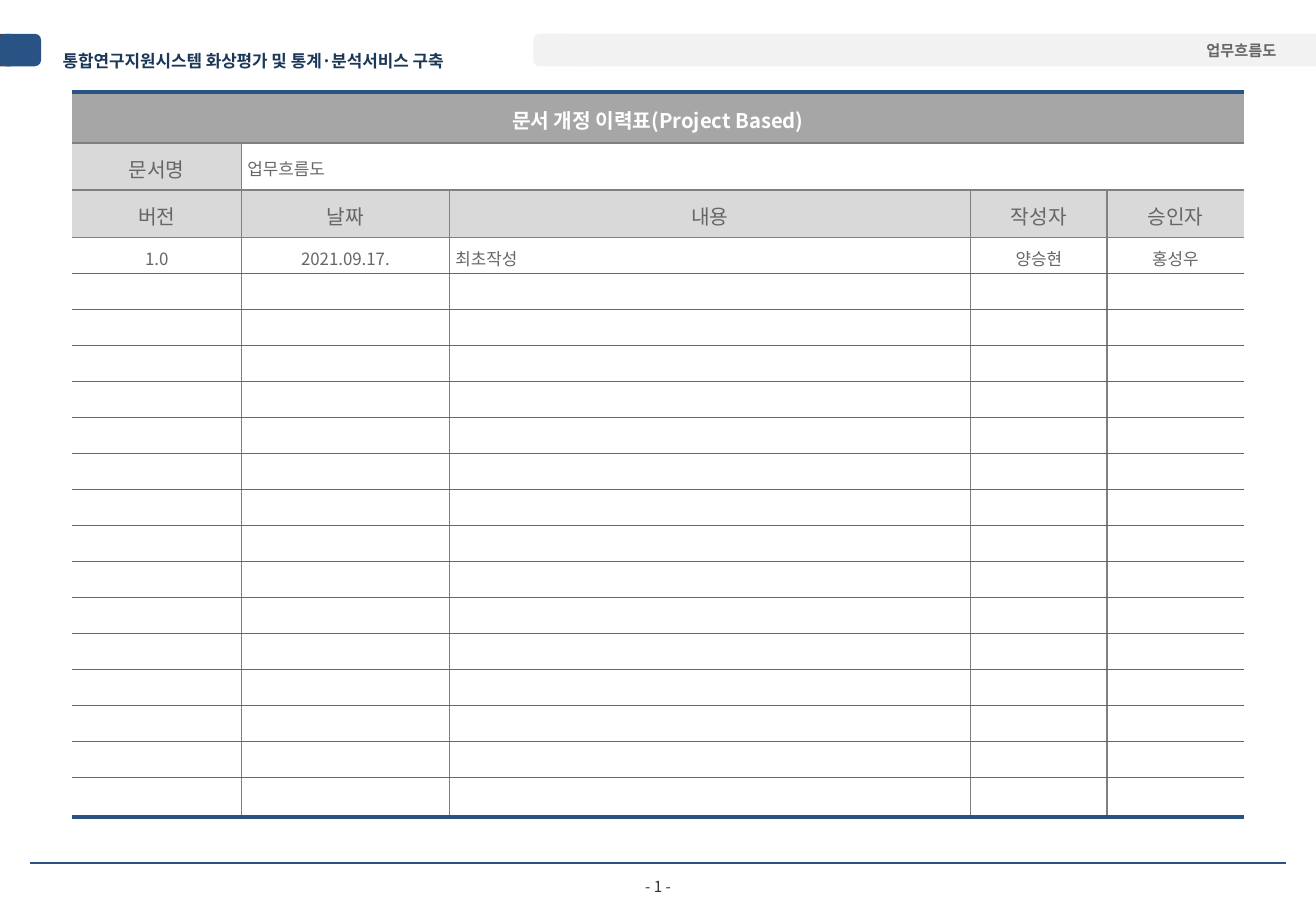
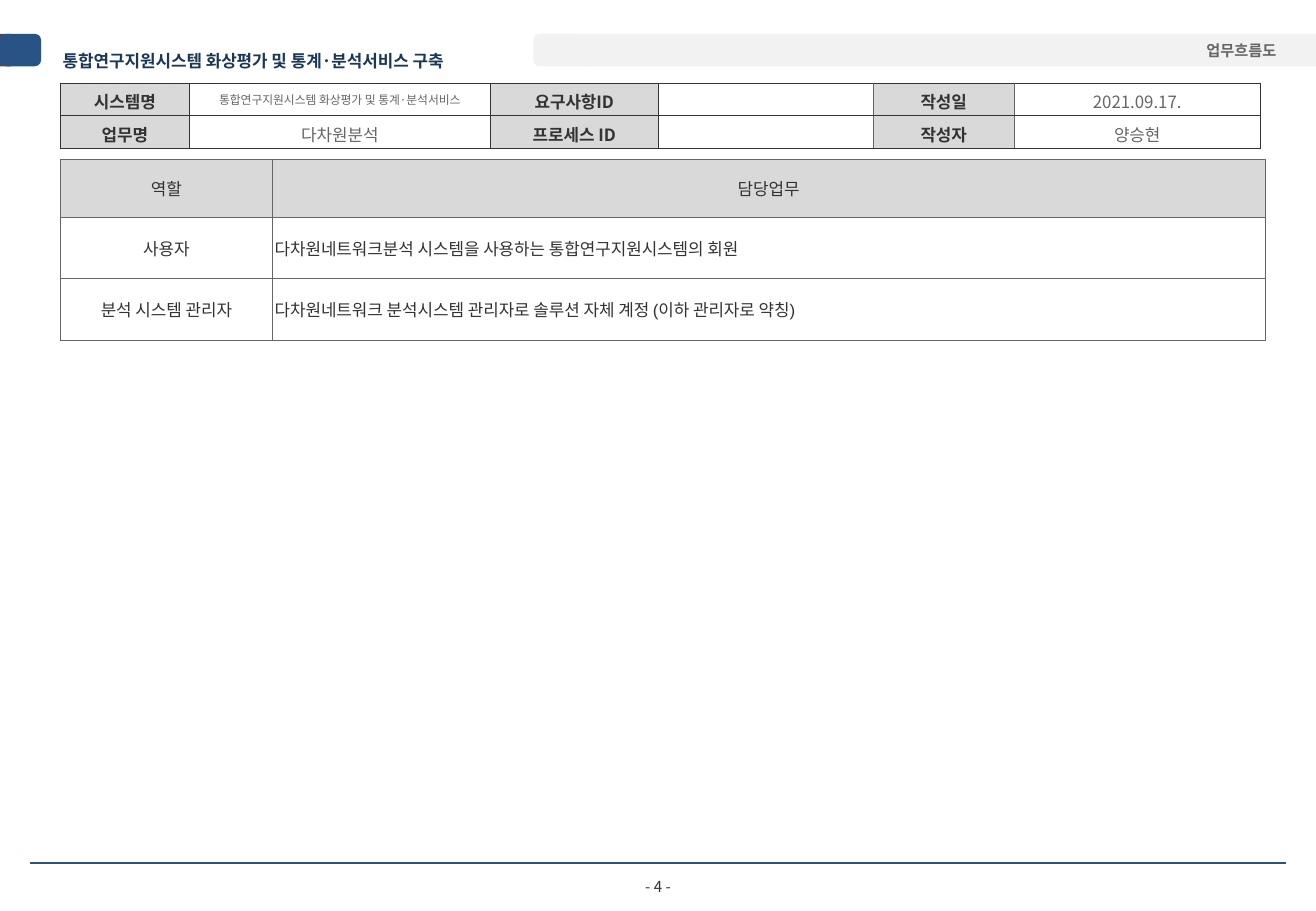
"""Build the revision history and role description slides of a workflow document."""
from dataclasses import dataclass

from lxml import etree
from pptx import Presentation
from pptx.dml.color import RGBColor
from pptx.enum.shapes import MSO_CONNECTOR as Connector, MSO_SHAPE as Shape
from pptx.enum.text import MSO_ANCHOR as Anchor, PP_ALIGN as Align
from pptx.oxml.ns import qn
from pptx.util import Pt


@dataclass(frozen=True)
class Theme:
    navy: str = "2A5385"
    title: str = "1C3858"
    slate: str = "454861"
    ink: str = "333333"
    text: str = "666666"
    rule: str = "808080"
    banner: str = "A6A6A6"
    label: str = "D9D9D9"
    band: str = "F2F2F2"
    white: str = "FFFFFF"
    font: str = "Noto Sans CJK KR"
    latin: str = "Arial"
    heading: float = 12
    body: float = 10
    small: float = 9
    tiny: float = 7


T = Theme()
WIDTH, HEIGHT = 780, 540
BAND_TOP, BAND_HEIGHT = 20, 19.3

DOCUMENT = "업무흐름도"
HEADER_ROWS = [[("통합연구지원시스템 화상평가 및 통계·분석서비스 구축", "project"),
                (DOCUMENT, "subject")]]

HISTORY_ROWS = [
    [("문서 개정 이력표(Project Based)", "banner")],
    [("문서명", "heading"), (DOCUMENT, "name")],
    [(text, "heading") for text in ("버전", "날짜", "내용", "작성자", "승인자")],
    [("1.0", "entry"), ("2021.09.17.", "entry"), ("최초작성", "note"),
     ("양승현", "entry"), ("홍성우", "entry")],
] + [[("", "entry")] * 5 for _ in range(15)]

SUMMARY_ROWS = [
    [("시스템명", "label"), ("통합연구지원시스템 화상평가 및 통계·분석서비스", "system"),
     ("요구사항ID", "label"), ("", "value"), ("작성일", "label"), ("2021.09.17.", "value")],
    [("업무명", "label"), ("다차원분석", "value"), ("프로세스 ID", "label"), ("", "value"),
     ("작성자", "label"), ("양승현", "value")],
]

ROLE_ROWS = [
    [("역할", "role_head"), ("담당업무", "role_head")],
    [("사용자", "role"), ("다차원네트워크분석 시스템을 사용하는 통합연구지원시스템의 회원", "duty")],
    [("분석 시스템 관리자", "role"),
     ("다차원네트워크 분석시스템 관리자로 솔루션 자체 계정 (이하 관리자로 약칭)", "duty")],
]

HISTORY = dict(pad=(3.6, 0, 3.6, 0), spacing=1.15)
ENTRY = dict(HISTORY, pad=(3.6, 2.9, 3.6, 0), anchor=Anchor.TOP, align=Align.CENTER)
SUMMARY = dict(pad=(7.2, 2.4, 7.2, 0), align=Align.CENTER)
ROLE = dict(pad=(1.4, 0, 1.4, 0), color=T.ink)
STYLES = {
    "project": dict(color=T.title, bold=True, pad=(5.2, 0, 5.2, 0), spacing=1.6),
    "subject": dict(size=T.small, bold=True, align=Align.RIGHT, pad=(5.2, 1.4, 5.2, 1.4)),
    "banner": dict(HISTORY, size=T.heading, color=T.white, bold=True, align=Align.CENTER),
    "heading": dict(HISTORY, size=T.heading, align=Align.CENTER),
    "name": HISTORY,
    "entry": ENTRY,
    "note": dict(ENTRY, align=Align.JUSTIFY),
    "label": dict(SUMMARY, color=T.ink, bold=True),
    "value": SUMMARY,
    "system": dict(SUMMARY, size=T.tiny, pad=(3.6, 0, 3.6, 0)),
    "role_head": dict(ROLE, align=Align.CENTER),
    "role": dict(ROLE, align=Align.CENTER),
    "duty": dict(ROLE, latin=T.latin),
}
FILLS = {"banner": T.banner, "heading": T.label, "label": T.label, "role_head": T.label}


def write(body, text, size=T.body, color=T.text, bold=False, align=Align.LEFT,
          anchor=Anchor.MIDDLE, pad=(0, 0, 0, 0), spacing=1.0, latin=T.font):
    """Write formatted text into a table cell or a text frame."""
    body.margin_left, body.margin_top, body.margin_right, body.margin_bottom = map(Pt, pad)
    body.vertical_anchor = anchor
    paragraph = getattr(body, "text_frame", body).paragraphs[0]
    paragraph.alignment = align
    paragraph.line_spacing = spacing
    if not text:
        etree.SubElement(paragraph._p, qn("a:endParaRPr"), sz=str(int(size * 100)))
        return
    run = paragraph.add_run()
    run.text = text
    run.font.size = Pt(size)
    run.font.bold = bold
    run.font.color.rgb = RGBColor.from_string(color)
    run.font.name = latin
    etree.SubElement(run._r.get_or_add_rPr(), qn("a:ea"), typeface=T.font)


def add_block(slide, kind, left, width, color, corner=None):
    """Add one plain piece of the header band."""
    block = slide.shapes.add_shape(kind, Pt(left), Pt(BAND_TOP), Pt(width), Pt(BAND_HEIGHT))
    block.shadow.inherit = False
    block.fill.solid()
    block.fill.fore_color.rgb = RGBColor.from_string(color)
    block.line.fill.background()
    if corner:
        block.adjustments[0] = corner


def set_borders(cell, edges):
    """Draw the left, right, top and bottom edges of a cell."""
    properties = cell._tc.get_or_add_tcPr()
    for index, (side, edge) in enumerate(zip("LRTB", edges)):
        line = etree.Element(qn(f"a:ln{side}"))
        if edge:
            color, width = edge
            line.set("w", str(Pt(width)))
            fill = etree.SubElement(line, qn("a:solidFill"))
            etree.SubElement(fill, qn("a:srgbClr"), val=color)
        else:
            etree.SubElement(line, qn("a:noFill"))
        properties.insert(index, line)


def add_grid(slide, left, top, widths, heights, rows, across, down):
    """Add a table; a short row stretches its last cell to the right edge."""
    table = slide.shapes.add_table(len(heights), len(widths), Pt(left), Pt(top),
                                   Pt(sum(widths)), Pt(sum(heights))).table
    table.first_row = table.horz_banding = False
    for column, width in zip(table.columns, widths):
        column.width = Pt(width)
    last = len(widths) - 1
    for r, (height, entries) in enumerate(zip(heights, rows)):
        table.rows[r].height = Pt(height)
        start = len(entries) - 1
        if start < last:
            table.cell(r, start).merge(table.cell(r, last))
        for c in range(last + 1):
            cell = table.cell(r, c)
            text, style = entries[c] if c <= start else ("", entries[start][1])
            write(cell, text, **STYLES[style])
            if style in FILLS:
                cell.fill.solid()
                cell.fill.fore_color.rgb = RGBColor.from_string(FILLS[style])
            else:
                cell.fill.background()
            before = down[c] if c <= start else None
            after = down[c + 1] if c < start else down[-1] if c in (start, last) else None
            set_borders(cell, (before, after, across[r], across[r + 1]))


def add_page(deck, number):
    """Add a slide with the shared header, footer line and page number."""
    slide = deck.slides.add_slide(deck.slide_layouts[6])
    page = slide.shapes.add_textbox(Pt(366), Pt(517), Pt(48), Pt(17)).text_frame
    page.word_wrap = True
    write(page, f"- {number} -", size=T.small, color=T.ink, align=Align.CENTER)
    add_block(slide, Shape.RECTANGLE, 0, 6.5, T.slate)
    add_block(slide, Shape.ROUNDED_RECTANGLE, 0, 24.4, T.navy, 0.2)
    add_block(slide, Shape.RECTANGLE, 345, WIDTH - 345, T.band)
    add_block(slide, Shape.ROUNDED_RECTANGLE, 316.2, 35, T.band, 0.18)
    footer = slide.shapes.add_connector(Connector.STRAIGHT, Pt(18), Pt(511.5), Pt(762), Pt(511.5))
    footer.line.color.rgb = RGBColor.from_string(T.navy)
    footer.line.width = Pt(1.5)
    etree.SubElement(footer._element.spPr, qn("a:effectLst"))
    add_grid(slide, 32, BAND_TOP, [364.8] * 2, [BAND_HEIGHT], HEADER_ROWS,
             across=[None] * 2, down=[None] * 3)
    return slide


def main():
    """Build both slides and save the deck."""
    deck = Presentation()
    deck.slide_width, deck.slide_height = Pt(WIDTH), Pt(HEIGHT)
    edge, rule = (T.navy, 2.25), (T.rule, 1)
    hair, dark = (T.text, 0.25), (T.ink, 0.25)

    history = add_page(deck, 1)
    add_grid(history, 42.7, 54.6, [100.4, 123.3, 309, 80.9, 81],
             [30.2, 27.95, 27.95] + [21.35] * 15 + [23.4], HISTORY_ROWS,
             across=[edge] + [rule] * 3 + [hair] * 15 + [edge],
             down=[None] + [rule] * 4 + [None])

    roles = add_page(deck, 4)
    add_grid(roles, 35.8, 94.5, [125.6, 588.4], [34.4, 36.2, 36.7], ROLE_ROWS,
             across=[hair] * 4, down=[hair] * 3)
    add_grid(roles, 35.8, 49.2, [76.4, 178.4, 99.6, 127.4, 83.6, 145.8], [19.3, 19.6],
             SUMMARY_ROWS, across=[dark] * 3, down=[dark] * 4 + [hair] * 2 + [dark])
    deck.save("out.pptx")


if __name__ == "__main__":
    main()
